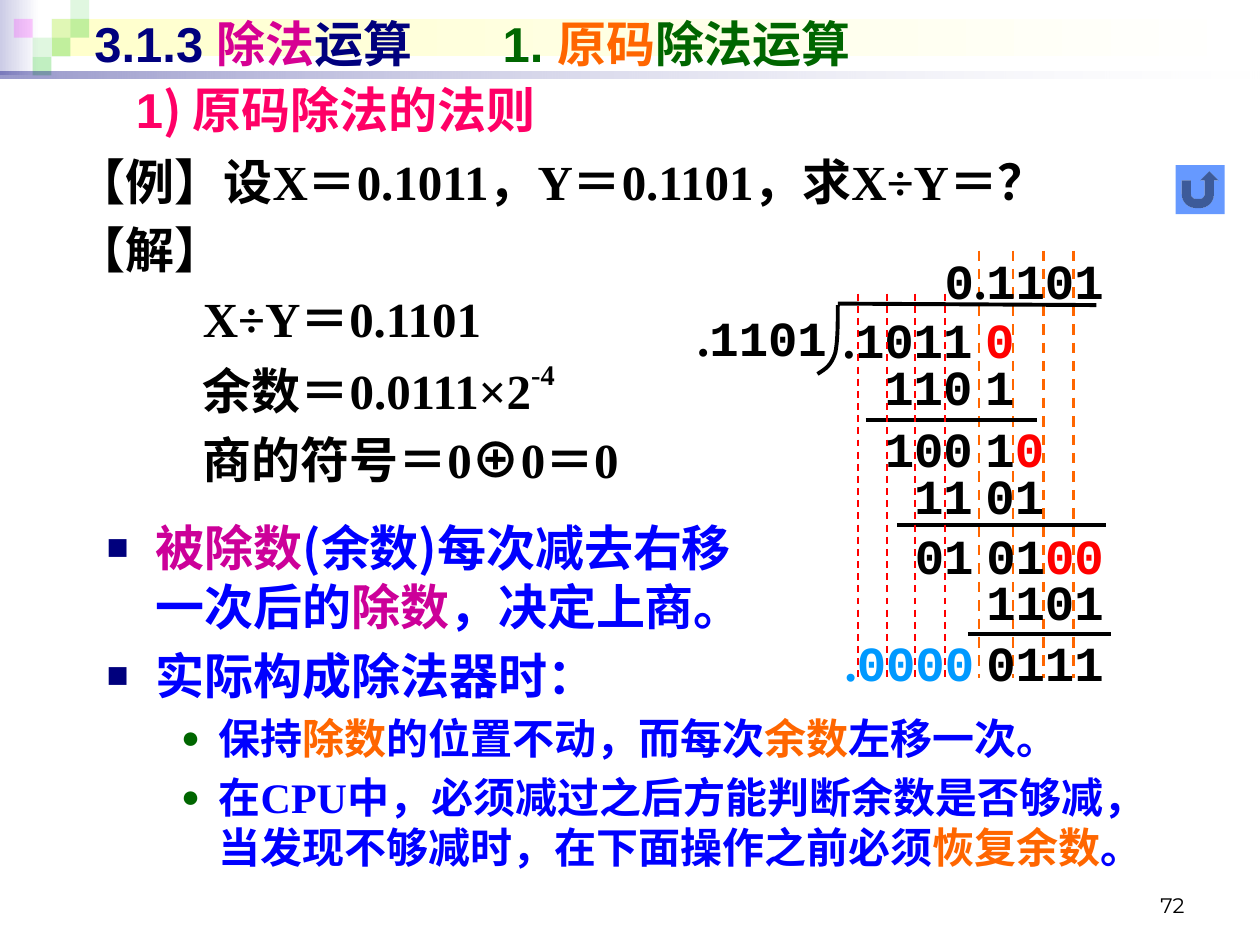
from lxml import etree
from pptx import Presentation
from pptx.dml.color import RGBColor
from pptx.enum.dml import MSO_LINE
from pptx.enum.shapes import MSO_CONNECTOR, MSO_SHAPE
from pptx.enum.text import MSO_ANCHOR, PP_ALIGN
from pptx.oxml.ns import qn
from pptx.util import Cm, Pt

RECT, BUTTON = MSO_SHAPE.RECTANGLE, MSO_SHAPE.ACTION_BUTTON_RETURN
STRAIGHT, DASH = MSO_CONNECTOR.STRAIGHT, MSO_LINE.DASH
TOP, MIDDLE, BOTTOM = MSO_ANCHOR.TOP, MSO_ANCHOR.MIDDLE, MSO_ANCHOR.BOTTOM
LEFT, RIGHT = PP_ALIGN.LEFT, PP_ALIGN.RIGHT

BLACK = RGBColor(0x00, 0x00, 0x00)
WHITE = RGBColor(0xFF, 0xFF, 0xFF)
NAVY = RGBColor(0x00, 0x00, 0x7D)
BLUE = RGBColor(0x00, 0x00, 0xFF)
SKY = RGBColor(0x00, 0x99, 0xFF)
STEEL = RGBColor(0x66, 0x99, 0xFF)
LILAC = RGBColor(0xCC, 0xCC, 0xE6)
CREAM = RGBColor(0xFF, 0xFF, 0xCC)
LIME = RGBColor(0x33, 0xCC, 0x33)
GREEN = RGBColor(0x00, 0x66, 0x00)
FUCHSIA = RGBColor(0xFF, 0x00, 0xFF)
PINK = RGBColor(0xD6, 0x00, 0x93)
PLUM = RGBColor(0xCC, 0x00, 0x99)
ROSE = RGBColor(0xFF, 0x00, 0x66)
RED = RGBColor(0xFF, 0x00, 0x00)
ORANGE = RGBColor(0xFF, 0x66, 0x00)

SERIF, SANS, MONO = "Times New Roman", "Arial", "Courier New"
CJK, PAGE = "Noto Sans CJK SC", "Montserrat"


def node(parent, tag, **attrs):
    return etree.SubElement(parent, qn(tag), attrs)


def fade(shape, *alphas):
    """Set the opacity, in percent, of each fill colour in turn."""
    for clr, alpha in zip(shape._element.spPr.iter(qn("a:srgbClr")), alphas):
        node(clr, "a:alpha", val=str(alpha * 1000))


class Deck:
    def __init__(self, slide, size=28):
        self.slide, self.shapes, self.size = slide, slide.shapes, size

    def block(self, x, y, w, h, color, end=None, kind=RECT):
        shape = self.shapes.add_shape(kind, Cm(x), Cm(y), Cm(w), Cm(h))
        shape.shadow.inherit = False
        shape.line.fill.background()
        if end is None:
            shape.fill.solid()
            shape.fill.fore_color.rgb = color
        else:
            shape.fill.gradient()
            shape.fill.gradient_angle = 0
            for stop, tone, at in zip(shape.fill.gradient_stops, (color, end), (0, 1)):
                stop.color.rgb, stop.position = tone, at
        return shape

    def line(self, x1, y1, x2, y2, color=BLACK, width=2.25, dash=None):
        line = self.shapes.add_connector(STRAIGHT, Cm(x1), Cm(y1), Cm(x2), Cm(y2))
        line.line.color.rgb, line.line.width = color, Pt(width)
        if dash:
            line.line.dash_style = dash
        node(line._element.spPr, "a:effectLst")

    def curve(self, start, *arcs, steps=8):
        """Draw cubic arcs, each given by two handles and an end point."""
        points, last = [], start
        for a, b, end in arcs:
            for i in range(1, steps + 1):
                t = i / steps
                u = 1 - t
                points.append([Cm(u**3 * p + 3 * u * u * t * q + 3 * u * t * t * r + t**3 * s)
                               for p, q, r, s in zip(last, a, b, end)])
            last = end
        pen = self.shapes.build_freeform(Cm(start[0]), Cm(start[1]))
        pen.add_line_segments(points, close=False)
        shape = pen.convert_to_shape()
        shape.shadow.inherit = False
        shape.fill.background()
        shape.line.color.rgb, shape.line.width = BLACK, Pt(2.25)

    def box(self, x, y, w, h, anchor=TOP):
        shape = self.shapes.add_textbox(Cm(x), Cm(y), Cm(w), Cm(h))
        shape.text_frame.word_wrap = True
        shape.text_frame.vertical_anchor = anchor
        return shape.text_frame

    def title(self, x, y, w, h):
        shape = self.shapes.title
        shape.left, shape.top, shape.width, shape.height = Cm(x), Cm(y), Cm(w), Cm(h)
        self.shapes._spTree.append(shape._element)
        shape.text_frame.vertical_anchor = MIDDLE
        return shape.text_frame

    def para(self, frame, runs, font=SERIF, size=None, bold=True, align=LEFT, gap=0):
        """Fill the next paragraph; a run is text, colour and any own font or size."""
        para = frame.paragraphs[-1]
        if para.runs:
            para = frame.add_paragraph()
        para.alignment, para.space_before = align, Pt(gap)
        para.font.size, para.font.bold = Pt(size or self.size), bold
        para.font.name = font
        for text, color, *own in runs:
            for i, part in enumerate(text.split("\n")):
                if i:
                    para.add_line_break()
                run = para.add_run()
                run.text = part
                run.font.color.rgb = color
                run.font.name = own[0] if own else font
                run.font.size = Pt(own[1] if len(own) > 1 else size or self.size)
                run.font.bold = bold
        return para

    def indent(self, para, left, hang=0):
        props = para._p.get_or_add_pPr()
        props.set("marL", str(Cm(left)))
        props.set("indent", str(-Cm(hang)))
        return props

    def bullet(self, para, char, color, left, hang):
        props = self.indent(para, left, hang)
        marks = [etree.Element(qn(t)) for t in ("a:buClr", "a:buSzPct", "a:buFont", "a:buChar")]
        node(marks[0], "a:srgbClr", val=str(color))
        marks[1].set("val", "75000")
        marks[2].set("typeface", SANS)
        marks[3].set("char", char)
        spot = props.index(props.find(qn("a:defRPr")))
        props[spot:spot] = marks

    def digits(self, right, y, w, *runs):
        self.para(self.box(right - w, y, w, 1.45), runs, MONO, align=RIGHT, gap=6)


def frame(deck):
    deck.block(0, 0, 0.79, 1.52, LILAC, WHITE)
    deck.block(1.04, 0.38, 24.26, 0.76, CREAM, WHITE)
    cell = 0.38
    for col, row, color, alpha in ((2, 1, LIME, 15), (3, 0, LIME, 15), (3, 1, LIME, 30),
                                   (1, 2, LIME, 15), (0, 1, FUCHSIA, 20),
                                   (2, 2, LIME, 30), (1, 3, LIME, 30)):
        fade(deck.block(0.28 + col * cell, row * cell, cell, cell, color), alpha)
    fade(deck.block(0, 1.45, 25.4, 0.13, NAVY, WHITE), 40, 10)


def points(deck):
    text = deck.box(1.9, 10.31, 22.2, 8.2)
    for runs in (
        [("被除数", PLUM), ("(", BLUE, CJK), ("余数", BLUE), (")", BLUE, CJK),
         ("每次减去右移\n一次后的", BLUE), ("除数", PLUM), ("，决定上商。", BLUE)],
        [("实际构成除法器时：", BLUE)],
    ):
        deck.bullet(deck.para(text, runs, gap=5.6), "■", NAVY, 0.99, 0.99)
    for runs in (
        [("保持", BLUE), ("除数", ORANGE), ("的位置不动，而每次", BLUE),
         ("余数", ORANGE), ("左移一次。", BLUE)],
        [("在CPU中，必须减过之后方能判断余数是否够减，当发现不够减时，在下面操作之前必须", BLUE),
         ("恢复余数", ORANGE), ("。", BLUE)],
    ):
        deck.bullet(deck.para(text, runs, size=24, gap=4.8), "●", GREEN, 2.26, 0.76)


def heads(deck):
    para = deck.para(deck.title(1.65, 0.13, 22.86, 1.45),
                     [("3.1.3 ", NAVY), ("除法", PINK), ("运算\t", NAVY),
                      ("1. ", GREEN), ("原码", ORANGE), ("除法运算", GREEN)], SANS)
    tabs = etree.Element(qn("a:tabLst"))
    node(tabs, "a:tab", pos=str(Cm(8.23)), algn="l")
    para._p.pPr.find(qn("a:defRPr")).addprevious(tabs)
    deck.para(deck.box(2.49, 1.47, 22.05, 1.45, MIDDLE),
              [("1", ROSE), (") ", ROSE, CJK), ("原码除法的法则", ROSE)], SANS)


def example(deck):
    text = deck.box(1.3, 2.92, 23.01, 7.21)
    for line in ("【例】设X＝0.1011，Y＝0.1101，求X÷Y＝？", "【解】"):
        deck.para(text, [(line, BLACK)], gap=5.6)
    for runs in ([("X÷Y＝0.1101", BLACK)],
                 [("余数＝0.0111×2", BLACK), ("-4", BLACK)],
                 [("商的符号＝0", BLACK), ("⊕", BLACK, CJK), ("0＝0", BLACK)]):
        para = deck.para(text, runs, gap=5.6)
        deck.indent(para, 2.54)
        if runs[-1][0] == "-4":
            para.runs[-1].font._element.set("baseline", "50000")


def division(deck):
    for x in (19.74, 20.42, 21.03, 21.64):
        deck.line(x, 5.05, x, 13.67, ORANGE, 1.5, DASH)
    dot, gap = (".", BLACK, SERIF), (" ", BLACK, MONO, 12)
    deck.digits(20.7, 6.12, 4.8, dot, ("1011", BLACK), gap, ("0", RED))
    deck.digits(20.7, 7.06, 3.81, ("110", BLACK), gap, ("1", BLACK))
    deck.digits(22.5, 4.93, 4.39, ("0", BLACK), dot, ("1101", BLACK))
    deck.digits(21.3, 8.31, 4.8, ("100", BLACK), gap, ("1", BLACK), ("0", RED))
    deck.digits(22.5, 10.46, 5, ("01", BLACK), gap, ("01", BLACK), ("00", RED))
    deck.digits(21.3, 9.25, 4.19, ("11", BLACK), gap, ("01", BLACK))
    deck.digits(22.5, 12.62, 3.4, ("0111", BLACK))
    deck.digits(22.5, 11.4, 3.4, ("1101", BLACK))
    deck.line(16.89, 6.12, 22.1, 6.15)
    deck.curve((16.89, 6.15), ((16.89, 6.53), (16.89, 6.88), (16.84, 7.11)),
               ((16.76, 7.37), (16.64, 7.44), (16.48, 7.54)))
    for left, right, y in ((17.45, 20.9, 8.46), (18.08, 22.3, 10.59), (19.51, 22.4, 12.78)):
        deck.line(left, y, right, y)
    deck.digits(16.92, 6.07, 3.61, dot, ("1101", BLACK))
    for x in (17.3, 17.88, 18.44, 19.05):
        deck.line(x, 5.92, x, 13.67, RED, 1, DASH)
    deck.digits(19.89, 12.62, 3.4, (".", SKY, SERIF), ("0000", SKY))


def main():
    show = Presentation()
    show.slide_width, show.slide_height = Cm(25.4), Cm(19.05)
    deck = Deck(show.slides.add_slide(show.slide_layouts[5]))
    frame(deck)
    points(deck)
    deck.para(deck.box(18.21, 17.35, 5.92, 1.27, BOTTOM), [("72", BLACK)],
              PAGE, 12, False, RIGHT)
    heads(deck)
    example(deck)
    division(deck)
    deck.block(23.7, 3.33, 0.99, 0.99, STEEL, kind=BUTTON)
    show.save("out.pptx")


if __name__ == "__main__":
    main()
